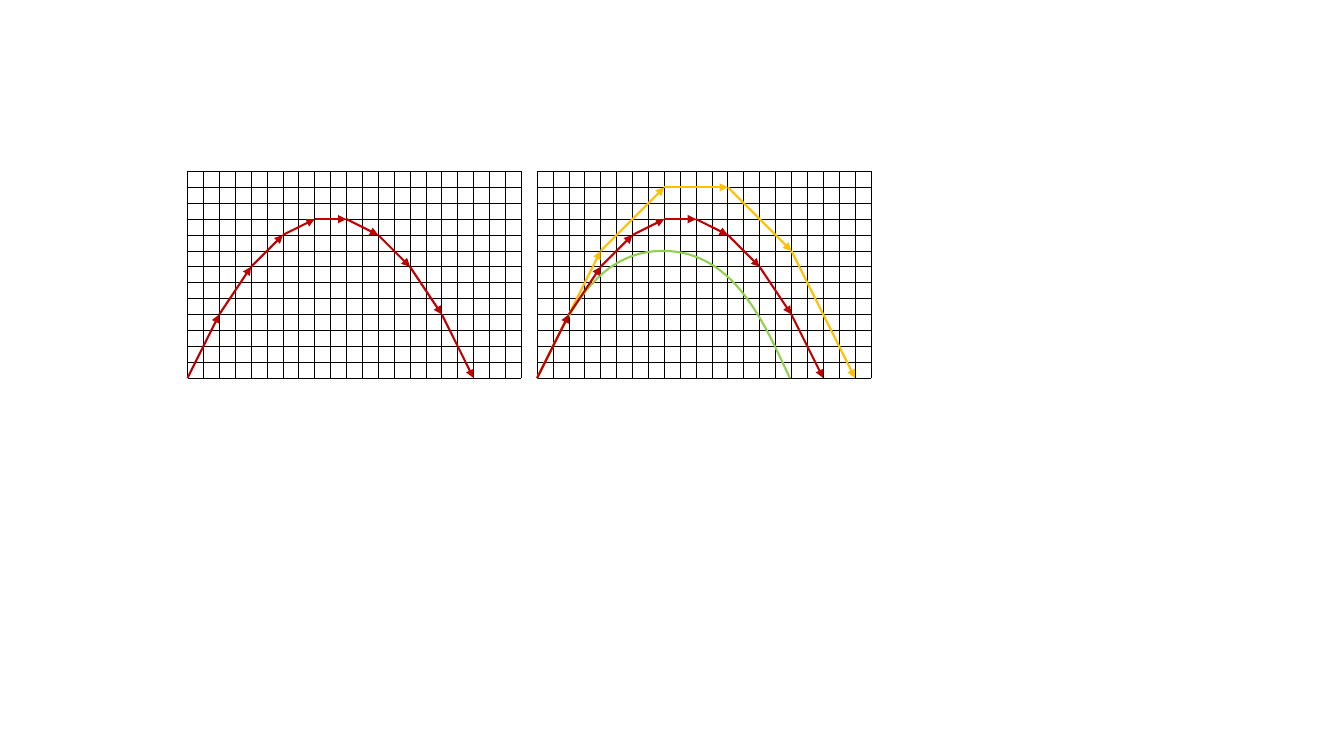
"""Draw stepped flight paths of a thrown ball on two grids."""
from itertools import accumulate, pairwise

from lxml.etree import SubElement
from pptx import Presentation
from pptx.dml.color import RGBColor
from pptx.enum.shapes import MSO_CONNECTOR
from pptx.oxml.ns import qn
from pptx.util import Inches, Pt

HUES = {"grid": "000000", "fine": "C00000", "rough": "FFC000", "exact": "92D050"}
COLS, ROWS = 21, 13
CELL = 3.31 / COLS
LEFT, BASE = 1.86, 3.75
ARC = [(0, 0), (1.7, 3.3), (3.36, 8), (7.92, 8), (12.45, 8), (14.35, 3.3), (15.9, 0)]


def place(start, col, row):
    """Turn a grid point, counted from a panel's lower left, into lengths."""
    return Inches(LEFT + (start + col) * CELL), Inches(BASE - row * CELL)


def stroke(shape, hue, width):
    """Set the line colour and width of a shape."""
    shape.line.color.rgb = RGBColor.from_string(HUES[hue])
    shape.line.width = Pt(width)


def draw_line(group, start, tail, head, hue, width, arrow=False):
    """Join two grid points, with an arrowhead on request."""
    ends = place(start, *tail) + place(start, *head)
    line = group.shapes.add_connector(MSO_CONNECTOR.STRAIGHT, *ends)
    stroke(line, hue, width)
    if arrow:
        SubElement(line.line._get_or_add_ln(), qn("a:tailEnd"), type="triangle")
    SubElement(line._element.spPr, qn("a:effectLst"))


def draw_grid(slide, start):
    """Rule the columns and rows of one panel."""
    group = slide.shapes.add_group_shape()
    for col in range(COLS + 1):
        draw_line(group, start, (col, 0), (col, ROWS), "grid", 0.5)
    for row in range(ROWS + 1):
        draw_line(group, start, (0, row), (COLS, row), "grid", 0.5)


def draw_steps(slide, start, stride, climbs, hue):
    """Chain arrows of equal stride that rise by the given climbs."""
    group = slide.shapes.add_group_shape()
    rows = accumulate(climbs, initial=0)
    spots = [(stride * step, row) for step, row in enumerate(rows)]
    for tail, head in pairwise(spots):
        draw_line(group, start, tail, head, hue, 1.5, arrow=True)


def draw_arc(slide, start, hue):
    """Draw the smooth flight as two cubic curves."""
    spots = [place(start, *spot) for spot in ARC]
    form = slide.shapes.build_freeform(*spots[0])
    form.add_line_segments(spots[1:], close=False)
    arc = form.convert_to_shape()
    legs = list(arc._element.iter(qn("a:lnTo")))
    for first in range(0, len(legs), 3):
        curve = SubElement(legs[first].getparent(), qn("a:cubicBezTo"))
        for leg in legs[first:first + 3]:
            curve.append(leg[0])
            leg.getparent().remove(leg)
    arc.fill.background()
    arc.shadow.inherit = False
    stroke(arc, hue, 1.5)


def main():
    """Build and save the slide."""
    deck = Presentation()
    deck.slide_width, deck.slide_height = Inches(13.33), Inches(7.5)
    slide = deck.slides.add_slide(deck.slide_layouts[6])
    fine, rough = range(4, -5, -1), range(8, -9, -4)
    right = COLS + 1
    draw_grid(slide, 0)
    draw_steps(slide, 0, 2, fine, "fine")
    draw_grid(slide, right)
    draw_steps(slide, right, 4, rough, "rough")
    draw_arc(slide, right, "exact")
    draw_steps(slide, right, 2, fine, "fine")
    deck.save("out.pptx")


main()
